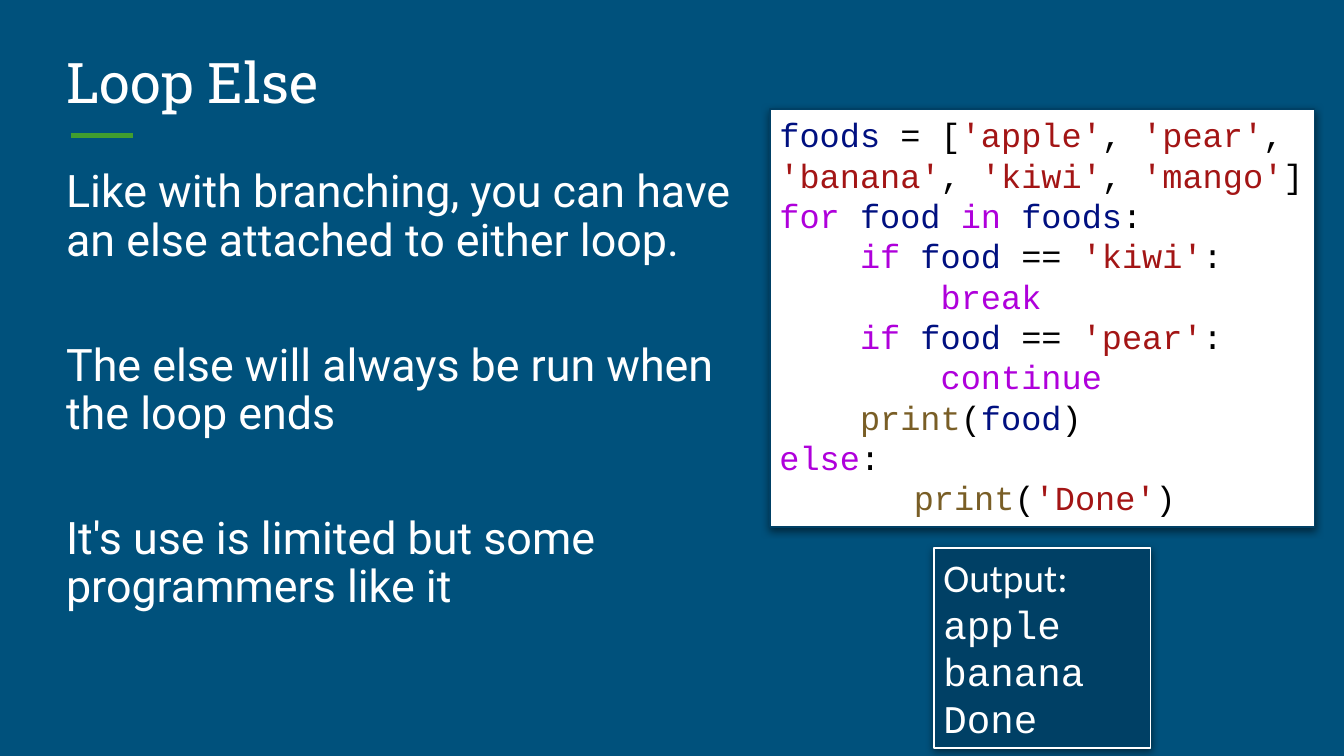
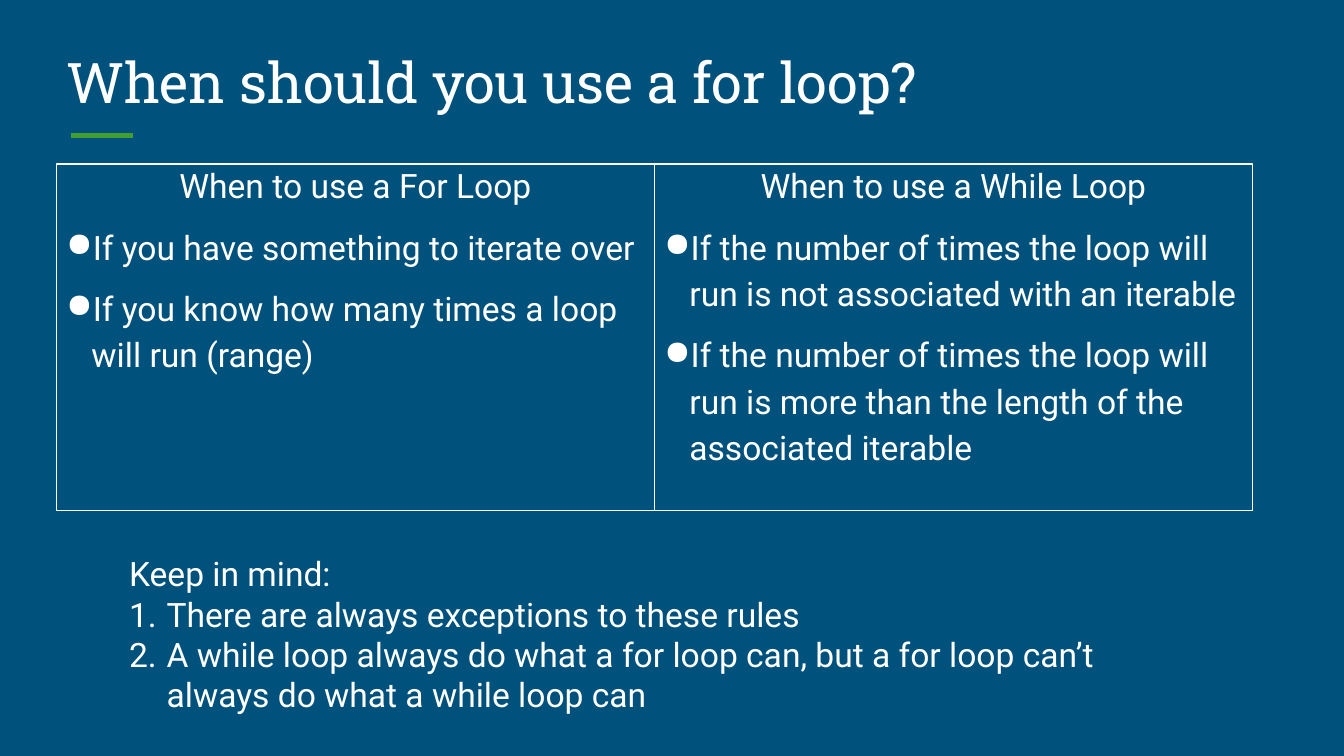
from lxml.etree import SubElement
from pptx import Presentation
from pptx.dml.color import RGBColor
from pptx.enum.shapes import MSO_CONNECTOR, MSO_SHAPE
from pptx.enum.text import MSO_ANCHOR, MSO_AUTO_SIZE, PP_ALIGN
from pptx.oxml.ns import qn
from pptx.util import Cm, Pt

COLOURS = {
    "background": "00517C",
    "panel": "004065",
    "accent": "419E2F",
    "white": "FFFFFF",
    "plain": "000000",
    "name": "001080",
    "text": "A31515",
    "keyword": "AF00DB",
    "call": "795E26",
}
HEADING, BODY, CODE = "Roboto Slab", "Roboto", "Courier New"
INDENT = 1.524  # four characters of 18 point code, in cm

# Each code line is an indent in cm and its coloured pieces
CODE_LINES = [
    (0, [("name", "foods"), ("plain", " = ["), ("text", "'apple'"), ("plain", ", "),
         ("text", "'pear'"), ("plain", ",")]),
    (0, [("text", "'banana'"), ("plain", ", "), ("text", "'kiwi'"), ("plain", ", "),
         ("text", "'mango'"), ("plain", "]")]),
    (0, [("keyword", "for "), ("name", "food "), ("keyword", "in "), ("name", "foods"),
         ("plain", ":")]),
    (INDENT, [("keyword", "if "), ("name", "food"), ("plain", " == "),
              ("text", "'kiwi'"), ("plain", ":")]),
    (2 * INDENT, [("keyword", "break")]),
    (INDENT, [("keyword", "if "), ("name", "food"), ("plain", " == "),
              ("text", "'pear'"), ("plain", ":")]),
    (2 * INDENT, [("keyword", "continue")]),
    (INDENT, [("call", "print"), ("plain", "("), ("name", "food"), ("plain", ")")]),
    (0, [("keyword", "else"), ("plain", ":")]),
    (2.54, [("call", "print"), ("plain", "("), ("text", "'Done'"), ("plain", ")")]),
]


def colour(name):
    return RGBColor.from_string(COLOURS[name])


def add_shadow(effects, blur=4.5, distance=1.5, degrees=90):
    shadow = SubElement(effects, qn("a:outerShdw"), blurRad=str(Pt(blur)),
                        dist=str(Pt(distance)), dir=str(degrees * 60000),
                        algn="ctr", rotWithShape="0")
    black = SubElement(shadow, qn("a:srgbClr"), val=COLOURS["plain"])
    SubElement(black, qn("a:alpha"), val="50000")


class SlideBuilder:
    """Holds the shared style and the slide being filled."""

    def __init__(self):
        self.deck = Presentation()
        self.deck.slide_width, self.deck.slide_height = Cm(25.4), Cm(14.29)
        fill = self.deck.slide_master.background.fill
        fill.solid()
        fill.fore_color.rgb = colour("background")
        self.page = None

    def start(self, title):
        """Add a slide with its title and the short accent line."""
        self.page = self.deck.slides.add_slide(self.deck.slide_layouts[5])
        line = self.page.shapes.add_connector(
            MSO_CONNECTOR.STRAIGHT, Cm(1.34), Cm(2.56), Cm(2.52), Cm(2.56))
        line.line.color.rgb = colour("accent")
        line.line.width = Pt(3)
        SubElement(line._element.spPr, qn("a:effectLst"))

        box = self.page.shapes.title
        place = {"left": 1.07, "top": 0.66, "width": 23.24, "height": 1.9}
        for key, value in place.items():
            setattr(box, key, Cm(value))
        self.frame(box, MSO_ANCHOR.MIDDLE)
        para = self.para(box, [("white", title)], HEADING, 30, line_spacing=0.9)
        properties = para.runs[0].font._element
        effects = SubElement(properties, qn("a:effectLst"))
        properties.find(qn("a:solidFill")).addnext(effects)
        add_shadow(effects, 3, 2, 45)

    def frame(self, box, anchor=MSO_ANCHOR.TOP):
        values = {"margin_left": Cm(0.18), "margin_right": Cm(0.18),
                  "margin_top": Cm(0.1), "margin_bottom": Cm(0.1),
                  "word_wrap": True, "auto_size": MSO_AUTO_SIZE.NONE,
                  "vertical_anchor": anchor}
        for key, value in values.items():
            setattr(box.text_frame, key, value)

    def text_box(self, *place):
        box = self.page.shapes.add_textbox(*map(Cm, place))
        self.frame(box)
        return box

    def panel(self, *place, fill=None, line="white", shadow=False):
        box = self.page.shapes.add_shape(MSO_SHAPE.RECTANGLE, *map(Cm, place))
        if fill:
            box.fill.solid()
            box.fill.fore_color.rgb = colour(fill)
        else:
            box.fill.background()
        box.line.color.rgb = colour(line)
        box.line.width = Pt(0.75)
        box.shadow.inherit = False
        if shadow:
            add_shadow(box._element.spPr.find(qn("a:effectLst")))
        self.frame(box)
        return box

    def para(self, box, spans, font, size, indent=0, **formats):
        """Fill the first paragraph, or add one, with coloured spans."""
        frame = box.text_frame
        para = frame.paragraphs[0] if not frame.text else frame.add_paragraph()
        for key, value in {"alignment": PP_ALIGN.LEFT, **formats}.items():
            setattr(para, key, value)
        if indent:
            para._p.get_or_add_pPr().set("marL", str(Cm(indent)))
        for name, words in spans:
            span = para.add_run()
            span.text = words
            for key, value in {"name": font, "size": Pt(size)}.items():
                setattr(span.font, key, value)
            span.font.color.rgb = colour(name)
        return para

    def item(self, box, words, hang, numbered=False, **formats):
        """Add a bulleted or numbered paragraph with a hanging indent."""
        para = self.para(box, [("white", words)], BODY, 18, hang, **formats)
        properties = para._p.get_or_add_pPr()
        properties.set("indent", str(-Cm(hang)))
        tint = SubElement(properties, qn("a:buClr"))
        SubElement(tint, qn("a:srgbClr"), val=COLOURS["white"])
        if numbered:
            SubElement(properties, qn("a:buAutoNum"), type="arabicPeriod")
        else:
            SubElement(properties, qn("a:buChar"), char="●")


def build_loop_else(builder):
    builder.start("Loop Else")

    # Explanation
    box = builder.text_box(1.07, 3.1, 13.46, 9.58)
    points = ["Like with branching, you can have an else attached to either loop.",
              "The else will always be run when the loop ends",
              "It's use is limited but some programmers like it"]
    for index, words in enumerate(points):
        builder.para(box, [("white", words)], BODY, 24, line_spacing=0.9,
                     space_before=Pt(41 if index else 0))

    # Code and its output
    box = builder.panel(14.55, 2.06, 10.29, 7.9, fill="white", line="panel", shadow=True)
    for indent, spans in CODE_LINES:
        builder.para(box, spans, CODE, 18, indent)

    box = builder.panel(17.65, 10.36, 4.09, 3.78, fill="panel", shadow=True)
    for words in ["Output:", "apple", "banana", "Done"]:
        font = "Calibri" if words == "Output:" else CODE
        builder.para(box, [("white", words)], font, 21)


def build_loop_choice(builder):
    builder.start("When should you use a for loop?")

    # Two columns side by side
    columns = {
        "When to use a For Loop": [
            "If you have something to iterate over",
            "If you know how many times a loop will run (range)"],
        "When to use a While Loop": [
            "If the number of times the loop will run is not associated with an iterable",
            "If the number of times the loop will run is more than the length of the "
            "associated iterable"],
    }
    width = 11.3
    for index, (heading, points) in enumerate(columns.items()):
        box = builder.panel(1.07 + index * width, 3.1, width, 6.55)
        builder.para(box, [("white", heading)], BODY, 18,
                     alignment=PP_ALIGN.CENTER, line_spacing=0.9)
        for words in points:
            builder.item(box, words, 0.48, line_spacing=1.15, space_before=Pt(8))

    # Closing reminder
    box = builder.text_box(2.26, 10.36, 20.37, 3.28)
    builder.para(box, [("white", "Keep in mind:")], BODY, 18)
    for words in ["There are always exceptions to these rules",
                  "A while loop always do what a for loop can, but a for loop can’t "
                  "always do what a while loop can"]:
        builder.item(box, words, 0.71, numbered=True)


def main():
    builder = SlideBuilder()
    build_loop_else(builder)
    build_loop_choice(builder)
    builder.deck.save("out.pptx")


if __name__ == "__main__":
    main()
